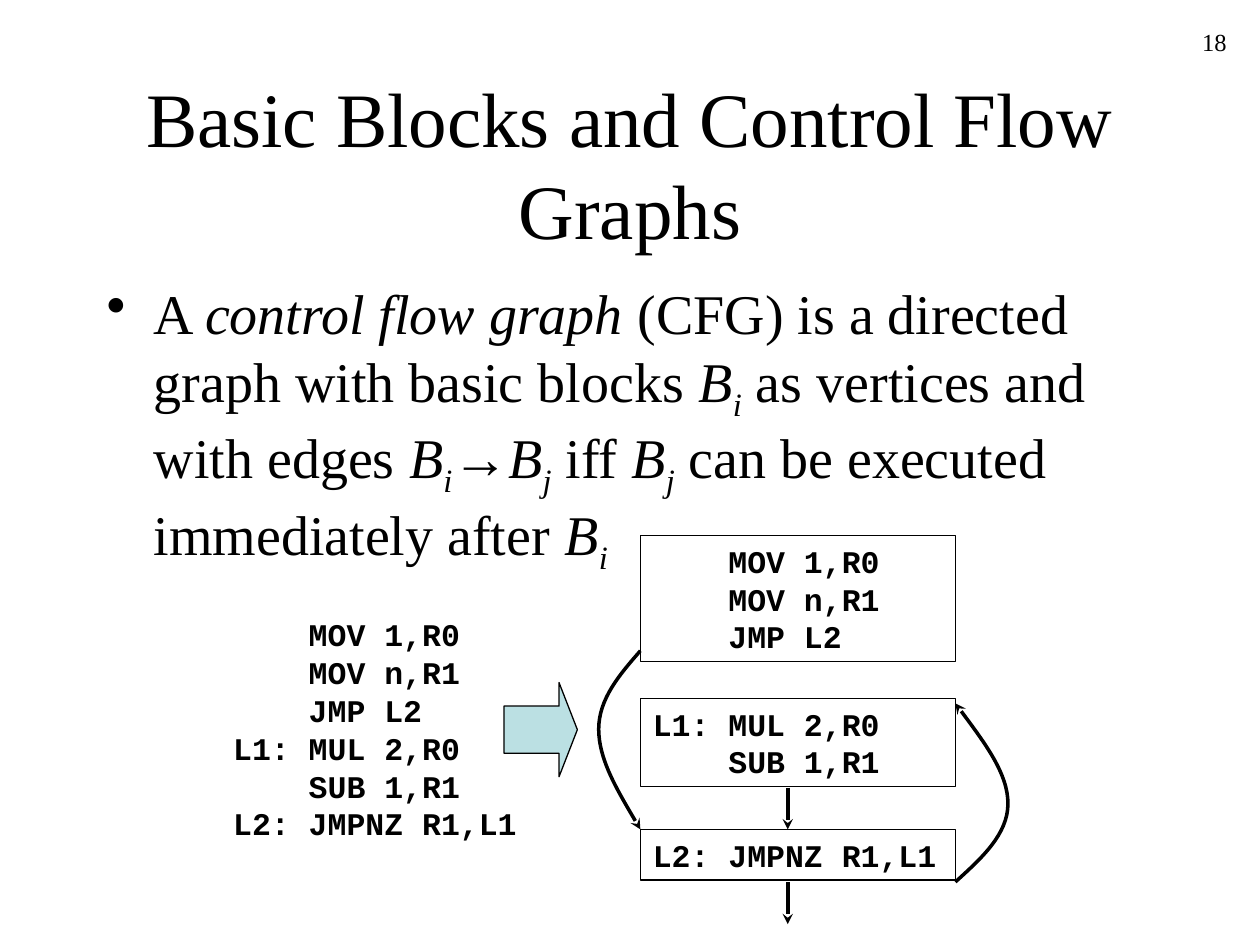
import lxml.etree
import pptx
import pptx.dml.color
import pptx.enum.shapes
import pptx.enum.text
import pptx.oxml.ns
import pptx.util

Cm = pptx.util.Cm
Pt = pptx.util.Pt
qn = pptx.oxml.ns.qn
Align = pptx.enum.text.PP_ALIGN
Anchor = pptx.enum.text.MSO_ANCHOR
AutoSize = pptx.enum.text.MSO_AUTO_SIZE
Preset = pptx.enum.shapes.MSO_SHAPE

COLORS = {"ink": "000000", "arrow": "BBE0E3"}
FORMATS = {
    "title": {"name": "Times New Roman", "size": Pt(44)},
    "body": {"name": "Times New Roman", "size": Pt(32)},
    "italic": {"name": "Times New Roman", "size": Pt(32), "italic": True},
    "symbol": {"name": "Arial", "size": Pt(32)},
    "code": {"name": "Courier New", "size": Pt(18), "bold": True},
    "number": {"name": "Times New Roman", "size": Pt(14)},
}


def color(name):
    return pptx.dml.color.RGBColor.from_string(COLORS[name])


class SlideBuilder:
    def __init__(self, slide):
        self.slide = slide

    def format_run(self, run, style):
        for name, value in FORMATS[style].items():
            setattr(run.font, name, value)
        run.font.color.rgb = color("ink")

    def style_line(self, shape, width, arrow=False):
        shape.line.color.rgb = color("ink")
        shape.line.width = Pt(width)
        if arrow:
            outline = shape._element.spPr.find(qn("a:ln"))
            lxml.etree.SubElement(outline, qn("a:tailEnd"), type="stealth")

    def fill_text(self, shape, text, style, align=Align.LEFT, **frame_values):
        frame = shape.text_frame
        for name, value in {"word_wrap": True, **frame_values}.items():
            setattr(frame, name, value)
        paragraph = frame.paragraphs[0]
        paragraph.alignment = align
        paragraph.text = text
        for run in paragraph.runs:
            self.format_run(run, style)

    def text(self, bounds, text, style, **values):
        shape = self.slide.shapes.add_textbox(*map(Cm, bounds))
        self.fill_text(shape, text, style, **values)

    def bullet(self, bounds, parts):
        shape = self.slide.shapes.add_textbox(*map(Cm, bounds))
        shape.text_frame.word_wrap = True
        paragraph = shape.text_frame.paragraphs[0]
        properties = paragraph._p.get_or_add_pPr()
        properties.set("marL", str(Cm(0.95)))
        properties.set("indent", str(Cm(-0.95)))
        lxml.etree.SubElement(properties, qn("a:buChar"), char="•")
        for text, style in parts:
            run = paragraph.add_run()
            run.text = text
            self.format_run(run, "italic" if style == "subscript" else style)
            if style == "subscript":
                run._r.get_or_add_rPr().set("baseline", "-25000")

    def shape(self, preset, bounds, fill=None):
        shape = self.slide.shapes.add_shape(preset, *map(Cm, bounds))
        shape.shadow.inherit = False
        if fill:
            shape.fill.solid()
            shape.fill.fore_color.rgb = color(fill)
        else:
            shape.fill.background()
        self.style_line(shape, 0.75)
        return shape

    def code_block(self, bounds, code):
        shape = self.shape(Preset.RECTANGLE, bounds)
        self.fill_text(shape, code, "code", vertical_anchor=Anchor.TOP,
                       auto_size=AutoSize.SHAPE_TO_FIT_TEXT)

    def arrow(self, x, top, bottom):
        connector = self.slide.shapes.add_connector(
            pptx.enum.shapes.MSO_CONNECTOR.STRAIGHT, Cm(x), Cm(top), Cm(x), Cm(bottom))
        self.style_line(connector, 2, arrow=True)
        lxml.etree.SubElement(connector._element.spPr, qn("a:effectLst"))

    def curved_arrow(self, points):
        start, *others = [(Cm(x), Cm(y)) for x, y in points]
        builder = self.slide.shapes.build_freeform(*start)
        builder.add_line_segments(others, close=False)
        shape = builder.convert_to_shape()
        segments = shape._element.xpath(".//a:lnTo")
        for first in range(0, len(segments), 3):
            curve = lxml.etree.SubElement(segments[0].getparent(), qn("a:cubicBezTo"))
            for segment in segments[first:first + 3]:
                curve.append(segment[0])
        for segment in segments:
            segment.getparent().remove(segment)
        shape.shadow.inherit = False
        shape.fill.background()
        self.style_line(shape, 2, arrow=True)


def main():
    presentation = pptx.Presentation()
    presentation.slide_width = Cm(25.4)
    presentation.slide_height = Cm(19.05)
    builder = SlideBuilder(presentation.slides.add_slide(presentation.slide_layouts[6]))

    builder.text((1.9, 1.69, 21.6, 3.18), "Basic Blocks and Control Flow Graphs",
                 "title", align=Align.CENTER, vertical_anchor=Anchor.MIDDLE)
    block_i = [("B", "italic"), ("i", "subscript")]
    block_j = [("B", "italic"), ("j", "subscript")]
    builder.bullet((1.9, 5.5, 21.6, 11.43), [
        ("A ", "body"), ("control flow graph", "italic"),
        (" (CFG) is a directed graph with basic blocks ", "body"), *block_i,
        (" as vertices and with edges ", "body"), *block_i, ("→", "symbol"), *block_j,
        (" iff ", "body"), *block_j,
        (" can be executed immediately after ", "body"), *block_i,
    ])

    blocks = [
        (10.8, 2.54, "    MOV 1,R0\n    MOV n,R1\n    JMP L2"),
        (14.08, 1.78, "L1: MUL 2,R0\n    SUB 1,R1"),
        (16.72, 1.02, "L2: JMPNZ R1,L1"),
    ]
    for top, height, code in blocks:
        builder.code_block((12.91, top, 6.35, height), code)
    program = "\n".join(code for top, height, code in blocks)
    builder.text((4.45, 12.28, 6.22, 4.83), program, "code", word_wrap=False,
                 auto_size=AutoSize.SHAPE_TO_FIT_TEXT)

    transform = builder.shape(Preset.RIGHT_ARROW, (10.16, 13.76, 1.48, 1.9), "arrow")
    transform.adjustments[1] = 0.25

    builder.curved_arrow([(12.91, 13.12), (12.49, 13.6), (12.07, 14.09), (12.07, 14.7),
                          (12.07, 15.3), (12.49, 16.01), (12.91, 16.72)])
    builder.curved_arrow([(19.26, 17.78), (19.79, 17.3), (20.32, 16.82), (20.32, 16.2),
                          (20.32, 15.6), (19.79, 14.89), (19.26, 14.18)])
    for top, bottom in [(15.88, 16.72), (17.78, 18.63)]:
        builder.arrow(15.88, top, bottom)

    builder.text((19.69, 0.42, 5.29, 1.27), "18", "number", align=Align.RIGHT)
    presentation.save("out.pptx")


if __name__ == "__main__":
    main()
